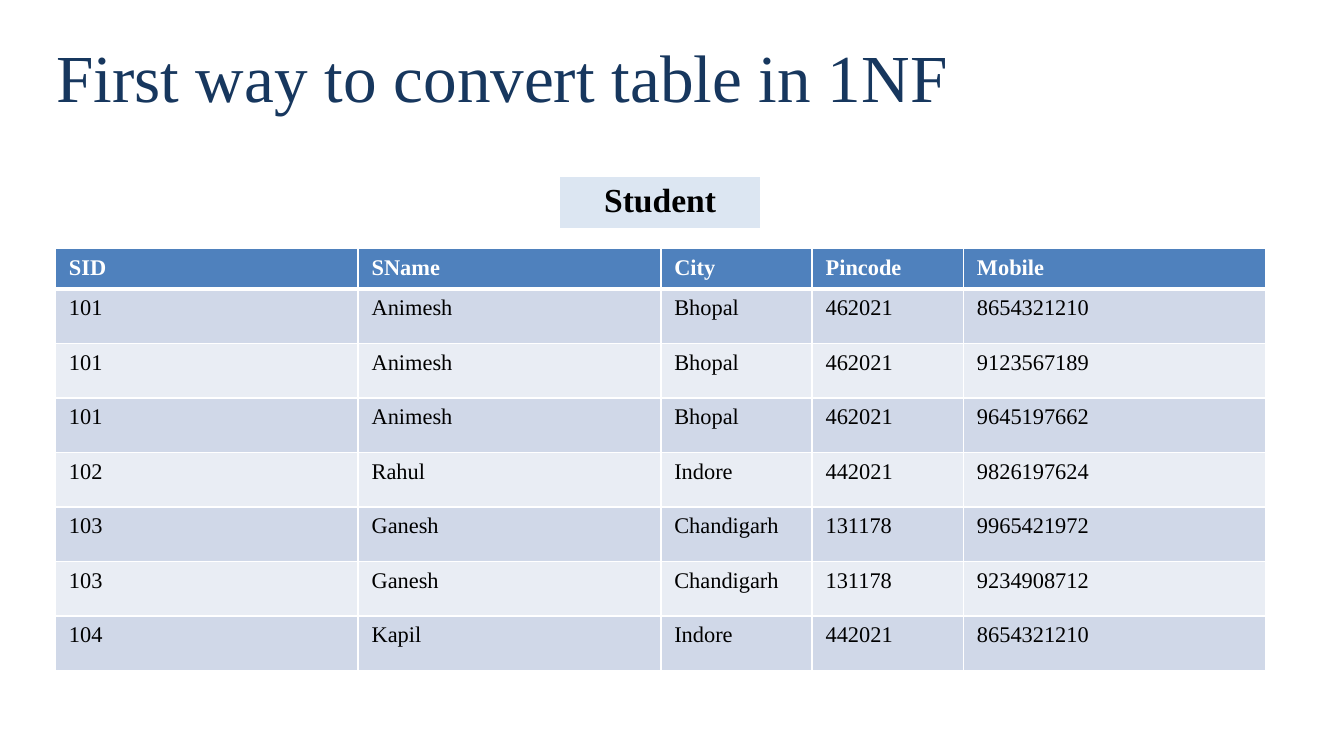
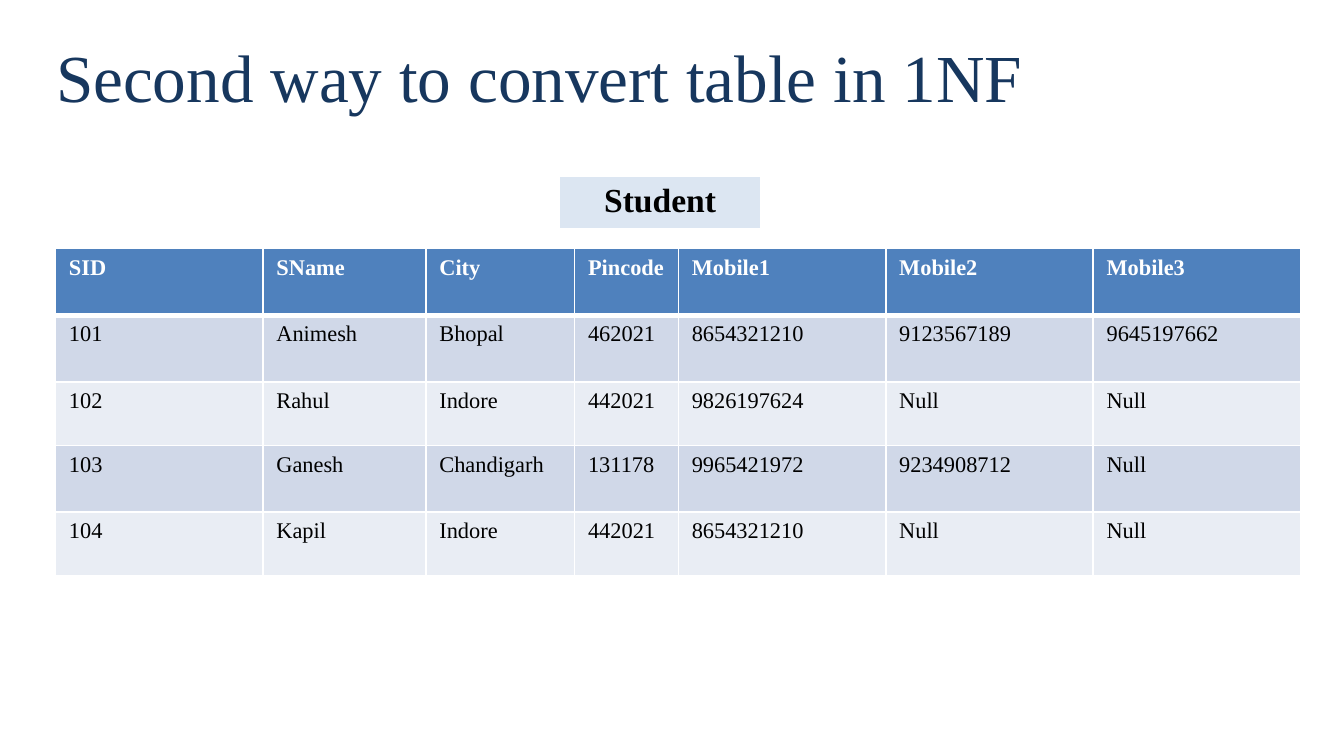
"""Build two slides that show ways to bring a student table into 1NF."""
from lxml import etree
from pptx import Presentation
from pptx.dml.color import RGBColor
from pptx.enum.text import MSO_ANCHOR, PP_ALIGN
from pptx.oxml.ns import qn
from pptx.util import Cm, Pt

MIDDLE = MSO_ANCHOR.MIDDLE
LEFT, CENTER = PP_ALIGN.LEFT, PP_ALIGN.CENTER
FONT = "Times New Roman"
COLORS = {
    "title": "17375E",
    "head": "4F81BD",
    "odd": "D0D8E8",
    "even": "E9EDF4",
    "label": "DCE6F2",
    "white": "FFFFFF",
    "black": "000000",
}


def write(frame, text, size, color, bold=False, align=LEFT):
    par = frame.paragraphs[0]
    par.alignment = align
    run = par.add_run()
    run.text = text
    run.font.name = FONT
    run.font.size = Pt(size)
    run.font.bold = bold
    run.font.color.rgb = RGBColor.from_string(COLORS[color])


def paint(cell, fill, edges):
    cell.fill.solid()
    cell.fill.fore_color.rgb = RGBColor.from_string(COLORS[fill])
    props = cell._tc.get_or_add_tcPr()
    for spot, (side, width) in enumerate(edges.items()):
        line = etree.Element(qn("a:ln" + side), w=str(Pt(width)))
        solid = etree.SubElement(line, qn("a:solidFill"))
        etree.SubElement(solid, qn("a:srgbClr"), val=COLORS["white"])
        props.insert(spot, line)


HEAD = {"L": 1, "R": 1, "T": 1, "B": 3}
BODY = {"L": 1, "R": 1, "B": 1}

SLIDES = [
    {
        "title": "First way to convert table in 1NF",
        "cols": [5.72, 5.72, 2.86, 2.86, 5.72],
        "rows": [0.72] + [1.03] * 7,
        "data": [
            ["SID", "SName", "City", "Pincode", "Mobile"],
            ["101", "Animesh", "Bhopal", "462021", "8654321210"],
            ["101", "Animesh", "Bhopal", "462021", "9123567189"],
            ["101", "Animesh", "Bhopal", "462021", "9645197662"],
            ["102", "Rahul", "Indore", "442021", "9826197624"],
            ["103", "Ganesh", "Chandigarh", "131178", "9965421972"],
            ["103", "Ganesh", "Chandigarh", "131178", "9234908712"],
            ["104", "Kapil", "Indore", "442021", "8654321210"],
        ],
    },
    {
        "title": "Second way to convert table in 1NF",
        "cols": [3.92, 3.08, 2.81, 1.96] + [3.92] * 3,
        "rows": [1.26, 1.26, 1.2, 1.26, 1.2],
        "data": [
            ["SID", "SName", "City", "Pincode", "Mobile1", "Mobile2", "Mobile3"],
            ["101", "Animesh", "Bhopal", "462021", "8654321210", "9123567189", "9645197662"],
            ["102", "Rahul", "Indore", "442021", "9826197624", "Null", "Null"],
            ["103", "Ganesh", "Chandigarh", "131178", "9965421972", "9234908712", "Null"],
            ["104", "Kapil", "Indore", "442021", "8654321210", "Null", "Null"],
        ],
    },
]

deck = Presentation()
deck.slide_width, deck.slide_height = Cm(25.4), Cm(14.29)

for page in SLIDES:
    slide = deck.slides.add_slide(deck.slide_layouts[6])

    frame = slide.shapes.add_textbox(Cm(0.81), Cm(0.36), Cm(22.91), Cm(2.13)).text_frame
    frame.word_wrap = True
    frame.vertical_anchor = MIDDLE
    write(frame, page["title"], 36, "title")

    cols, rows = page["cols"], page["rows"]
    table = slide.shapes.add_table(
        len(rows), len(cols), Cm(1.05), Cm(4.7), Cm(sum(cols)), Cm(sum(rows))
    ).table
    for col, width in zip(table.columns, cols):
        col.width = Cm(width)
    for row, (height, texts) in enumerate(zip(rows, page["data"])):
        table.rows[row].height = Cm(height)
        head = row == 0
        fill = "head" if head else "odd" if row % 2 else "even"
        for col, text in enumerate(texts):
            cell = table.cell(row, col)
            paint(cell, fill, HEAD if head else BODY)
            write(cell.text_frame, text, 12, "white" if head else "black", head)

    label = slide.shapes.add_table(1, 1, Cm(10.57), Cm(3.33), Cm(3.81), Cm(1.03)).table
    cell = label.cell(0, 0)
    paint(cell, "label", HEAD)
    write(cell.text_frame, "Student", 18, "black", True, CENTER)

deck.save("out.pptx")
